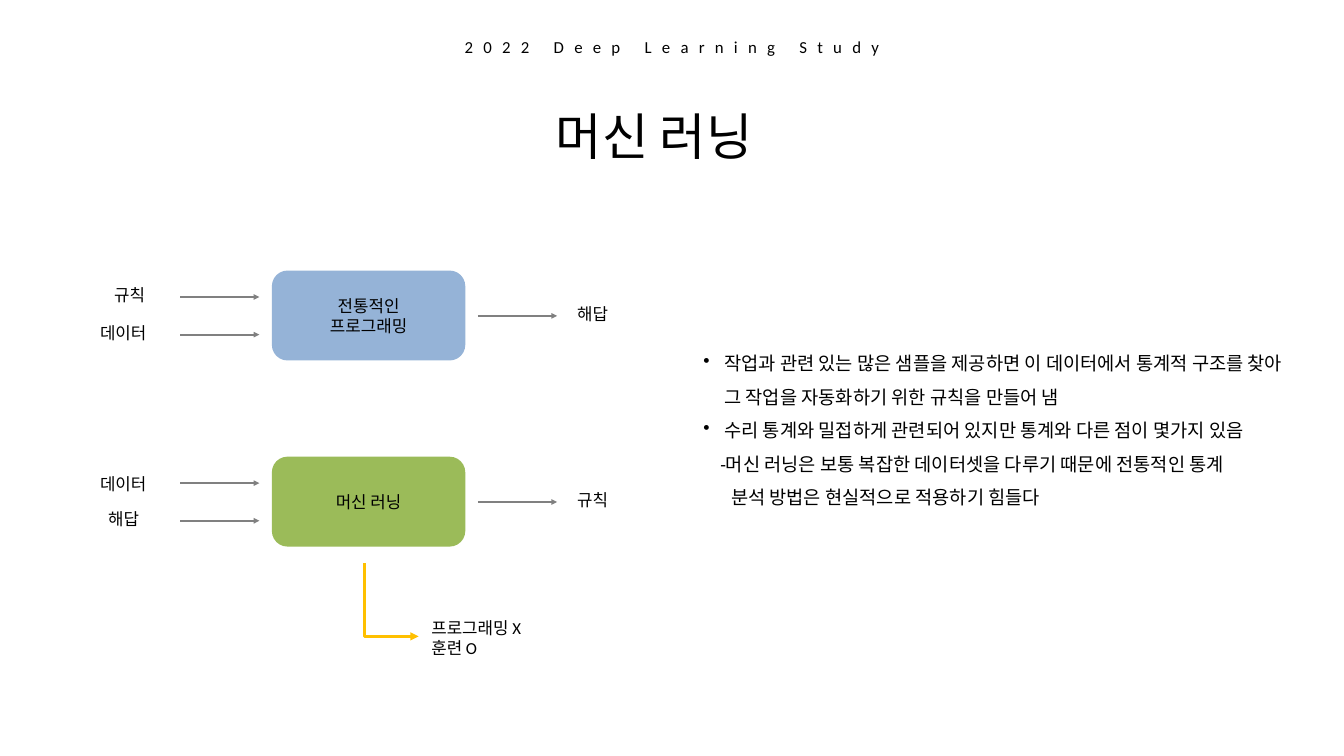
from dataclasses import dataclass

from lxml.etree import SubElement
from pptx import Presentation
from pptx.dml.color import RGBColor
from pptx.enum.shapes import MSO_CONNECTOR as CONN, MSO_SHAPE as SHAPE
from pptx.enum.text import MSO_ANCHOR as ANCHOR, MSO_AUTO_SIZE as AUTO, PP_ALIGN as ALIGN
from pptx.oxml.ns import qn
from pptx.util import Inches, Pt

FONT = "Calibri"
BLACK, GRAY, AMBER = "000000", "808080", "FFC000"
BLUE, GREEN = "95B3D7", "9BBB59"


@dataclass
class Label:
    text: str
    left: float
    dy: float
    width: float


@dataclass
class Flow:
    top: float
    color: str
    lines: list[str]
    labels: list[Label]


@dataclass
class Point:
    lines: list[str]
    margin: float
    hanging: float
    bullet: bool


FLOWS = [
    Flow(4.04, BLUE, ["전통적인", "프로그래밍"], [
        Label("규칙", 1.6, 0.15, 0.98),
        Label("데이터", 1.39, 0.71, 1.18),
        Label("해답", 8.49, 0.43, 0.98),
    ]),
    Flow(6.81, GREEN, ["머신 러닝"], [
        Label("데이터", 1.39, 0.19, 1.18),
        Label("해답", 1.51, 0.71, 0.94),
        Label("규칙", 8.49, 0.43, 0.98),
    ]),
]
ARROWS = [(2.68, 0.38), (2.68, 0.94), (7.11, 0.66)]
ARROW_LENGTH = 1.18

POINTS = [
    Point(["작업과 관련 있는 많은 샘플을 제공하면 이 데이터에서 통계적 구조를 "
           "찾아 그 작업을 자동화하기 위한 규칙을 만들어 냄"], 0.31, 0.31, True),
    Point(["수리 통계와 밀접하게 관련되어 있지만 통계와 다른 점이 몇가지 있음"],
          0.31, 0.31, True),
    Point(["-머신 러닝은 보통 복잡한 데이터셋을 다루기 때문에 전통적인 통계",
           "분석 방법은 현실적으로 적용하기 힘들다"], 0.41, 0.16, False),
]


def rgb(color: str) -> RGBColor:
    return RGBColor.from_string(color)


def set_font(p, size: float) -> None:
    p.font.name = FONT
    p.font.size = Pt(size)
    p.font.color.rgb = rgb(BLACK)


def write(tf, lines: list[str], size: float, align=ALIGN.LEFT) -> None:
    for i, line in enumerate(lines):
        p = tf.paragraphs[0] if i == 0 else tf.add_paragraph()
        p.text = line
        p.alignment = align
        set_font(p, size)


def add_text(shapes, box: tuple, lines: list[str], size: float = 18, align=ALIGN.LEFT):
    sp = shapes.add_textbox(*map(Inches, box))
    tf = sp.text_frame
    tf.word_wrap = True
    write(tf, lines, size, align)
    return sp


def add_arrow(shapes, kind, points: tuple, color: str, width: float):
    line = shapes.add_connector(kind, *map(Inches, points))
    line.line.color.rgb = rgb(color)
    line.line.width = Pt(width)
    SubElement(line.line._get_or_add_ln(), qn("a:tailEnd"), type="triangle")
    SubElement(line._element.spPr, qn("a:effectLst"))
    return line


def add_flow(s, flow: Flow) -> None:
    shapes = s.shapes.add_group_shape().shapes
    sp = shapes.add_shape(SHAPE.ROUNDED_RECTANGLE, Inches(4.06), Inches(flow.top),
                          Inches(2.85), Inches(1.31))
    sp.shadow.inherit = False
    sp.fill.solid()
    sp.fill.fore_color.rgb = rgb(flow.color)
    sp.line.color.rgb = rgb(flow.color)
    sp.line.width = Pt(2)
    sp.text_frame.vertical_anchor = ANCHOR.MIDDLE
    write(sp.text_frame, flow.lines, 18, ALIGN.CENTER)
    for left, dy in ARROWS:
        y = flow.top + dy
        add_arrow(shapes, CONN.STRAIGHT, (left, y, left + ARROW_LENGTH, y), GRAY, 2)
    for label in flow.labels:
        add_text(shapes, (label.left, flow.top + label.dy, label.width, 0.45), [label.text])


def add_turn(s, x1: float, y1: float, x2: float, y2: float) -> None:
    run, drop = x2 - x1, y2 - y1
    left, top = (x1 + x2 - drop) / 2, (y1 + y2 - run) / 2
    line = add_arrow(s.shapes, CONN.ELBOW, (left, top, left + drop, top + run), AMBER, 3)
    spPr = line._element.spPr
    spPr.find(qn("a:prstGeom")).set("prst", "bentConnector2")
    xfrm = spPr.find(qn("a:xfrm"))
    xfrm.set("rot", str(270 * 60000))
    xfrm.set("flipH", "1")


def add_points(s, points: list[Point]) -> None:
    sp = add_text(s.shapes, (10.37, 5.02, 8.92, 2.57), [])
    tf = sp.text_frame
    for i, point in enumerate(points):
        p = tf.paragraphs[0] if i == 0 else tf.add_paragraph()
        p.text = "\v".join(point.lines)
        p.line_spacing = 1.5
        set_font(p, 20)
        pPr = p._p.get_or_add_pPr()
        pPr.set("marL", str(Inches(point.margin)))
        pPr.set("indent", str(-Inches(point.hanging)))
        if point.bullet:
            bullet = pPr.makeelement(qn("a:buChar"), char="•")
            pPr.find(qn("a:defRPr")).addprevious(bullet)


def add_title(s) -> None:
    sp = s.shapes.title
    sp.left, sp.top, sp.width, sp.height = map(Inches, (8.17, 1.51, 3.67, 1.01))
    tf = sp.text_frame
    tf.auto_size = AUTO.NONE
    tf.vertical_anchor = ANCHOR.TOP
    write(tf, ["머신 러닝"], 54)


def add_header(s) -> None:
    sp = add_text(s.shapes, (1.53, 0.49, 16.94, 0.4), ["2022 Deep Learning Study"],
                  18, ALIGN.CENTER)
    sp.text_frame.vertical_anchor = ANCHOR.MIDDLE
    r = sp.text_frame.paragraphs[0].runs[0]
    r._r.get_or_add_rPr().set("spc", "1100")


def main() -> None:
    prs = Presentation()
    prs.slide_width, prs.slide_height = Inches(20), Inches(11.25)
    s = prs.slides.add_slide(prs.slide_layouts[5])
    add_header(s)
    add_title(s)
    for flow in FLOWS:
        add_flow(s, flow)
    add_turn(s, 5.42, 8.38, 6.23, 9.47)
    add_text(s.shapes, (6.32, 9.14, 2.17, 0.71), ["프로그래밍 X", "훈련 O"])
    add_points(s, POINTS)
    prs.save("out.pptx")


if __name__ == "__main__":
    main()
